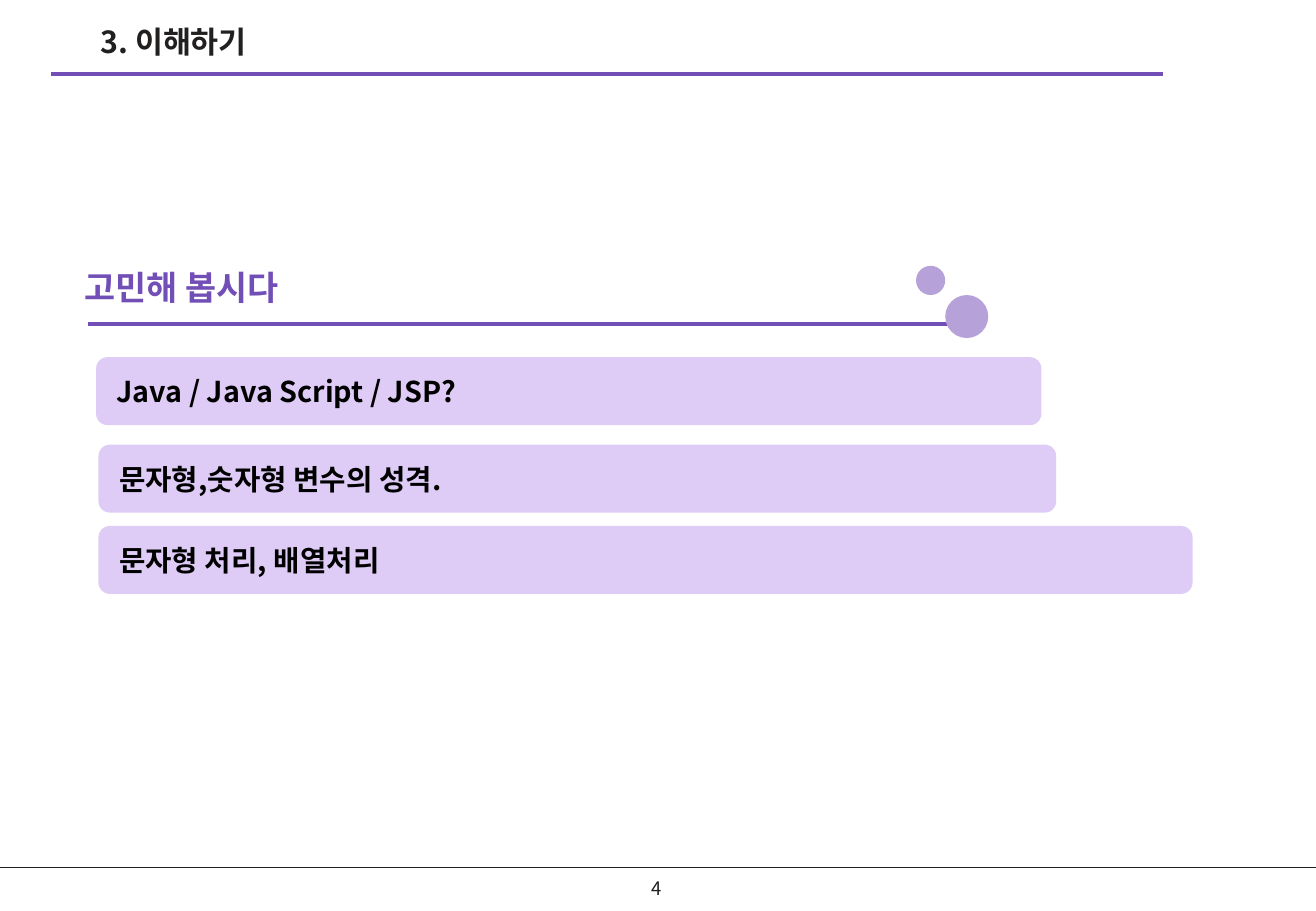
from lxml.etree import SubElement
from pptx import Presentation
from pptx.dml.color import RGBColor
from pptx.enum.shapes import MSO_CONNECTOR, MSO_SHAPE
from pptx.enum.text import MSO_ANCHOR, PP_ALIGN
from pptx.oxml.ns import qn
from pptx.util import Cm, Pt

FONT = "Noto Sans CJK KR"
INK = "221F1F"
PURPLE = "724FB7"
LILAC = "B6A1D9"
PALE = "DFCCF6"
BLACK = "000000"


def color(code):
    return RGBColor.from_string(code)


def write(shape, text, size, code, bold=True, align=PP_ALIGN.LEFT,
          anchor=MSO_ANCHOR.MIDDLE):
    frame = shape.text_frame
    frame.text = text
    frame.word_wrap = True
    frame.vertical_anchor = anchor
    line = frame.paragraphs[0]
    line.alignment = align
    for run in line.runs:
        run.font.name = FONT
        run.font.size = Pt(size)
        run.font.bold = bold
        run.font.color.rgb = color(code)
        # Korean letters take their font from the East Asian slot
        SubElement(run.font._element, qn("a:ea"), typeface=FONT)


def add_label(slide, box, *args, **style):
    label = slide.shapes.add_textbox(*map(Cm, box))
    write(label, *args, **style)


def add_rule(slide, left, right, top, code, width):
    rule = slide.shapes.add_connector(
        MSO_CONNECTOR.STRAIGHT, Cm(left), Cm(top), Cm(right), Cm(top))
    rule.line.color.rgb = color(code)
    rule.line.width = Pt(width)
    SubElement(rule._element.spPr, qn("a:effectLst"))


def add_solid(slide, kind, box, code):
    solid = slide.shapes.add_shape(kind, *map(Cm, box))
    solid.shadow.inherit = False
    solid.fill.solid()
    solid.fill.fore_color.rgb = color(code)
    solid.line.fill.background()
    return solid


def add_bar(slide, left, top, width, text):
    bar = add_solid(slide, MSO_SHAPE.FLOWCHART_ALTERNATE_PROCESS,
                    (left, top, width, 1.42), PALE)
    write(bar, text, 17, BLACK)
    frame = bar.text_frame
    frame.margin_left = frame.margin_right = Cm(0.36)
    frame.margin_top = frame.margin_bottom = Cm(0.18)


def main():
    deck = Presentation()
    deck.slide_width, deck.slide_height = Cm(27.51), Cm(19.05)
    slide = deck.slides.add_slide(deck.slide_layouts[6])

    add_rule(slide, 0, 27.51, 18.14, INK, 1)
    add_rule(slide, 1.07, 24.31, 1.55, PURPLE, 2.25)
    add_label(slide, (12.95, 18.16, 1.55, 0.84), "4", 11, INK,
              bold=False, align=PP_ALIGN.CENTER)
    add_label(slide, (1.85, 0.36, 14.1, 1.22), "3. 이해하기", 18, INK,
              anchor=MSO_ANCHOR.TOP)

    add_label(slide, (1.52, 5.46, 4.95, 1.12), "고민해 봅시다", 20, PURPLE,
              anchor=MSO_ANCHOR.TOP)
    add_rule(slide, 1.83, 20.35, 6.78, PURPLE, 2.25)
    for left, top, size in [(19.76, 6.17, 0.9), (19.15, 5.56, 0.61)]:
        add_solid(slide, MSO_SHAPE.OVAL, (left, top, size, size), LILAC)

    bars = [
        (2.01, 7.47, 19.76, "Java / Java Script / JSP?"),
        (2.06, 9.3, 20.02, "문자형,숫자형 변수의 성격."),
        (2.06, 11, 22.87, "문자형 처리, 배열처리"),
    ]
    for bar in bars:
        add_bar(slide, *bar)

    deck.save("out.pptx")


if __name__ == "__main__":
    main()
